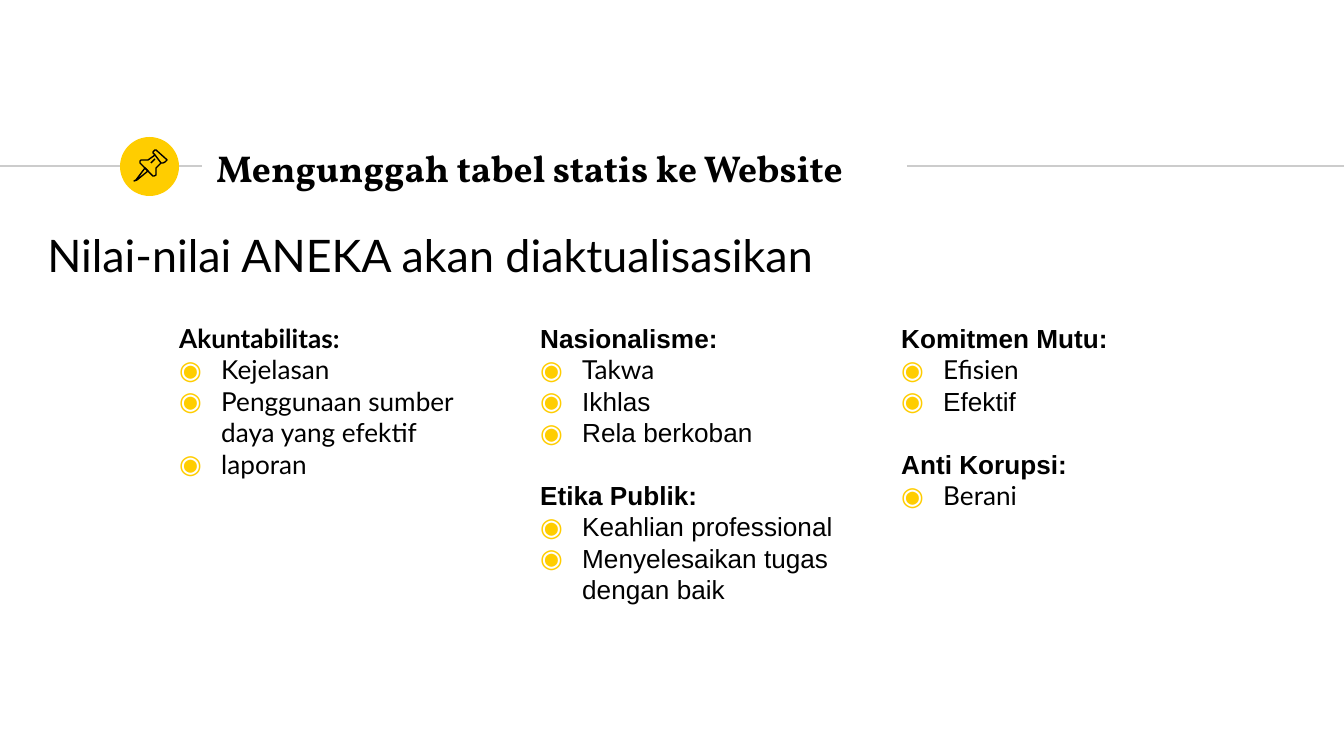
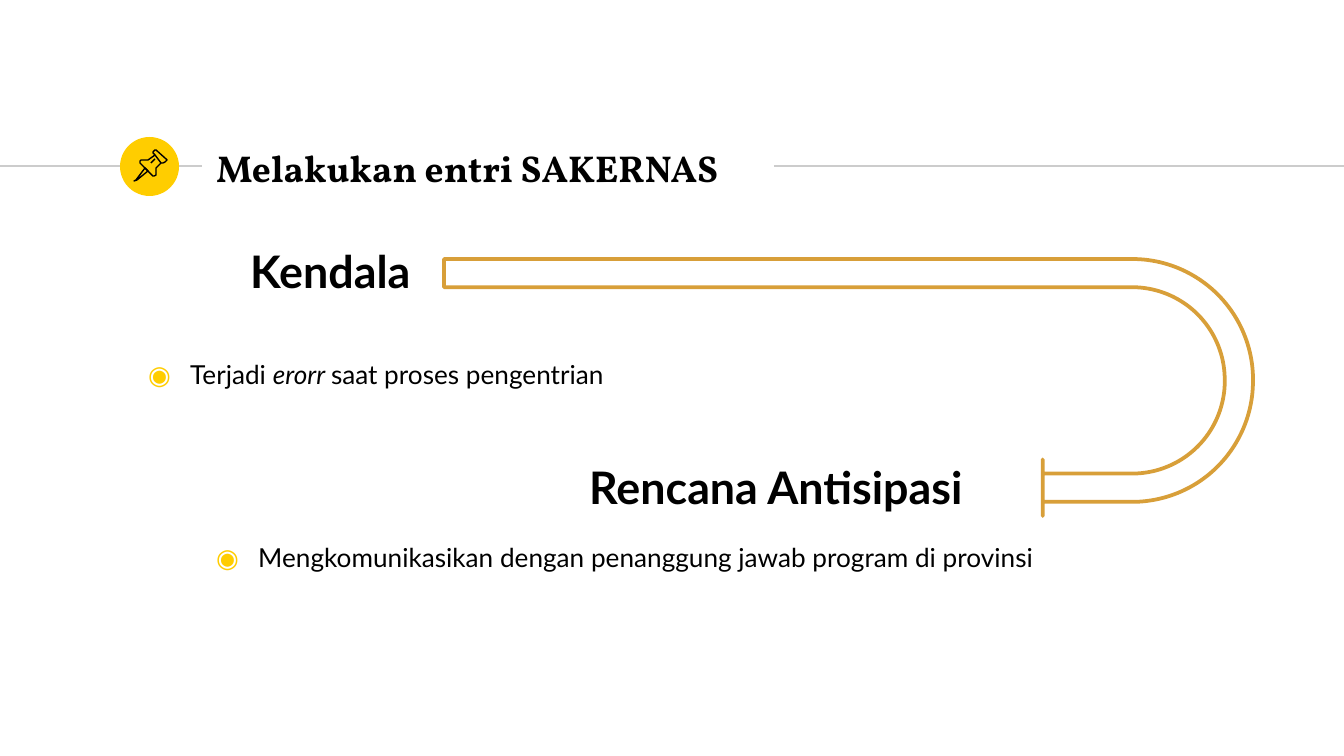
from lxml import etree
from pptx import Presentation
from pptx.dml.color import RGBColor
from pptx.enum.shapes import MSO_CONNECTOR, MSO_SHAPE
from pptx.enum.text import MSO_ANCHOR, MSO_AUTO_SIZE, PP_ALIGN
from pptx.oxml.ns import qn
from pptx.util import Emu, Inches, Pt

STRAIGHT = MSO_CONNECTOR.STRAIGHT
ELLIPSE = MSO_SHAPE.OVAL
U_TURN = MSO_SHAPE.U_TURN_ARROW
TOP, MIDDLE = MSO_ANCHOR.TOP, MSO_ANCHOR.MIDDLE
NO_AUTOFIT = MSO_AUTO_SIZE.NONE
LEFT = PP_ALIGN.LEFT

BLACK = RGBColor(0x00, 0x00, 0x00)
WHITE = RGBColor(0xFF, 0xFF, 0xFF)
GREY = RGBColor(0xCC, 0xCC, 0xCC)
YELLOW = RGBColor(0xFF, 0xCD, 0x00)
OCHRE = RGBColor(0xD8, 0x9F, 0x39)

TITLE_FONT, BODY_FONT, PLAIN_FONT = "Vollkorn", "Lato", "Arial"
PIXELS_PER_INCH = 134.4
WIDTH, HEIGHT = 1344, 756
RULE_Y = 166
BULLET_INDENT = 42
HEADING_INDENT = 34
LINE_HEIGHT = Pt(16.8)

# Pushpin outlines: points and whether the outline is closed.
PIN_OUTLINES = [
    ([(145, 168), (136, 180), (134, 181), (137, 180), (148, 171)], True),
    ([(155, 155), (161, 163), (163, 163), (165, 162), (166, 161), (167, 160),
      (166, 159), (156, 150), (155, 150), (154, 151), (153, 152), (153, 153)], True),
    ([(155, 155), (148, 160), (145, 160), (141, 160), (140, 161), (140, 163),
      (153, 176), (154, 176), (156, 175), (156, 168), (161, 163)], False),
]
PIN_SHINE = (151, 163), (155, 159)


def px(value):
    """Turn pixels into EMU."""
    return Emu(round(value * 914400 / PIXELS_PER_INCH))


def add_text(paragraph, text, *, font=BODY_FONT, size=14, bold=False, italic=False):
    """Add one formatted run to a paragraph."""
    run = paragraph.add_run()
    run.text = text
    run.font.name = font
    run.font.size = Pt(size)
    run.font.bold = bold
    run.font.italic = italic
    run.font.color.rgb = BLACK


def indent(paragraph, left, first=0):
    """Set the left margin and first-line indent of a paragraph."""
    properties = paragraph._p.get_or_add_pPr()
    properties.set("marL", str(px(left)))
    properties.set("indent", str(px(first)))
    return properties


def add_bullet(paragraph):
    """Give a paragraph the yellow round bullet."""
    properties = indent(paragraph, BULLET_INDENT, -BULLET_INDENT)
    color = etree.SubElement(properties, qn("a:buClr"))
    etree.SubElement(color, qn("a:srgbClr"), val=str(YELLOW))
    etree.SubElement(properties, qn("a:buFont"), typeface=BODY_FONT)
    etree.SubElement(properties, qn("a:buChar"), char="◉")


class Deck:
    """Holds the presentation, its style and the current slide."""

    def __init__(self):
        """Start an empty presentation."""
        self.presentation = Presentation()
        self.presentation.slide_width = px(WIDTH)
        self.presentation.slide_height = px(HEIGHT)
        self.slide = None

    def new_slide(self, title, title_width, rule_start):
        """Add a slide with its title, rules and pushpin badge."""
        layout = self.presentation.slide_layouts[5]
        self.slide = self.presentation.slides.add_slide(layout)
        self.line((0, RULE_Y), (202, RULE_Y), GREY)
        self.line((rule_start, RULE_Y), (WIDTH, RULE_Y), GREY)
        self.shape(ELLIPSE, 120, 137, 59, 59, fill=YELLOW)
        self.pushpin()
        self.title(title, title_width)

    def title(self, text, width):
        """Place and format the title placeholder."""
        placeholder = self.slide.shapes.title
        placeholder.left, placeholder.top = px(203), px(136)
        placeholder.width, placeholder.height = px(width), px(64)
        paragraph = self.frame(placeholder, MIDDLE).paragraphs[0]
        paragraph.alignment = LEFT
        add_text(paragraph, text, font=TITLE_FONT, size=20, bold=True)

    def frame(self, shape, anchor=TOP):
        """Set the shared text frame properties and return the frame."""
        frame = shape.text_frame
        frame.word_wrap = True
        frame.auto_size = NO_AUTOFIT
        frame.vertical_anchor = anchor
        frame.margin_left = frame.margin_right = Inches(0.1)
        frame.margin_top = frame.margin_bottom = Inches(0.1)
        return frame

    def text_box(self, left, top, width, height):
        """Add an empty text box and return its frame."""
        box = self.slide.shapes.add_textbox(px(left), px(top), px(width), px(height))
        return self.frame(box)

    def heading(self, text, left, top, width, bold=True):
        """Add a large heading."""
        paragraph = self.text_box(left, top, width, 82).paragraphs[0]
        indent(paragraph, HEADING_INDENT)
        add_text(paragraph, text, size=24, bold=bold)

    def bullet_line(self, runs, left, top, height):
        """Add a single bulleted line of (text, italic) runs."""
        paragraph = self.text_box(left, top, 1032, height).paragraphs[0]
        add_bullet(paragraph)
        for text, italic in runs:
            add_text(paragraph, text, italic=italic)

    def column(self, sections, left, top, width, height):
        """Add a column of (heading, font, bullets) sections."""
        frame = self.text_box(left, top, width, height)
        for number, (heading, font, bullets) in enumerate(sections):
            paragraph = frame.add_paragraph() if number else frame.paragraphs[0]
            paragraph.line_spacing = LINE_HEIGHT
            if number:
                paragraph.space_before = LINE_HEIGHT
            add_text(paragraph, heading, font=font, bold=True)
            for text, bullet_font in bullets:
                paragraph = frame.add_paragraph()
                paragraph.line_spacing = LINE_HEIGHT
                add_bullet(paragraph)
                add_text(paragraph, text, font=bullet_font)

    def line(self, start, end, color, shapes=None):
        """Add a thin straight line to the slide or to a group."""
        shapes = shapes or self.slide.shapes
        connector = shapes.add_connector(STRAIGHT, *map(px, start + end))
        connector.line.color.rgb = color
        connector.line.width = Pt(0.75)
        etree.SubElement(connector._element.spPr, qn("a:effectLst"))

    def shape(self, kind, left, top, width, height, fill, outline=None):
        """Add a filled preset shape, with an outline if a colour is given."""
        shape = self.slide.shapes.add_shape(
            kind, px(left), px(top), px(width), px(height))
        shape.shadow.inherit = False
        shape.fill.solid()
        shape.fill.fore_color.rgb = fill
        if outline is None:
            shape.line.fill.background()
        else:
            shape.line.color.rgb = outline
            shape.line.width = Pt(2)
        return shape

    def pushpin(self):
        """Draw the pushpin icon as a group of outlines."""
        shapes = self.slide.shapes.add_group_shape().shapes
        for points, closed in PIN_OUTLINES:
            builder = shapes.build_freeform(*points[0], scale=px(1))
            builder.add_line_segments(points[1:], close=closed)
            outline = builder.convert_to_shape()
            outline.shadow.inherit = False
            outline.fill.background()
            outline.line.color.rgb = BLACK
            outline.line.width = Pt(0.75)
        self.line(*PIN_SHINE, BLACK, shapes)

    def u_turn(self, left, top, width, height, adjustments):
        """Add the outlined U-turn band, turned a quarter clockwise."""
        arrow = self.shape(U_TURN, left, top, width, height, WHITE, OCHRE)
        arrow.rotation = 90
        for index, value in enumerate(adjustments):
            arrow.adjustments[index] = value


def values_slide(deck):
    """Build the slide on the values to be put into practice."""
    deck.new_slide("Mengunggah tabel statis ke Website", 684, 907)
    deck.heading("Nilai-nilai ANEKA akan diaktualisasikan", 0, 214, 960, bold=False)
    columns = [
        (343, 319, [("Akuntabilitas:", BODY_FONT, [
            ("Kejelasan", BODY_FONT),
            ("Penggunaan sumber daya yang efektif", BODY_FONT),
            ("laporan", BODY_FONT)])]),
        (343, 319, [
            ("Nasionalisme:", PLAIN_FONT, [
                ("Takwa", BODY_FONT),
                ("Ikhlas", PLAIN_FONT),
                ("Rela berkoban", PLAIN_FONT)]),
            ("Etika Publik:", PLAIN_FONT, [
                ("Keahlian professional", PLAIN_FONT),
                ("Menyelesaikan tugas dengan baik", PLAIN_FONT)])]),
        (391, 292, [
            ("Komitmen Mutu:", PLAIN_FONT, [
                ("Efisien", BODY_FONT),
                ("Efektif", PLAIN_FONT)]),
            ("Anti Korupsi:", PLAIN_FONT, [("Berani", BODY_FONT)])]),
    ]
    for number, (width, height, sections) in enumerate(columns):
        deck.column(sections, 166 + 361 * number, 309, width, height)


def obstacle_slide(deck):
    """Build the slide on the obstacle and the planned answer."""
    deck.new_slide("Melakukan entri SAKERNAS", 739, 774)
    deck.heading("Kendala", 203, 230, 274)
    deck.bullet_line([("Terjadi ", False), ("erorr ", True),
                      ("saat proses pengentrian", False)], 135, 345, 110)
    deck.bullet_line([("Mengkomunikasikan dengan penanggung jawab program di provinsi",
                       False)], 203, 528, 93)
    deck.heading("Rencana Antisipasi", 542, 446, 570)
    deck.u_turn(720, -17, 257, 809, [0.11, 0.11, 0, 0.47, 0.26])


def main():
    """Build and save the presentation."""
    deck = Deck()
    values_slide(deck)
    obstacle_slide(deck)
    deck.presentation.save("out.pptx")


main()
